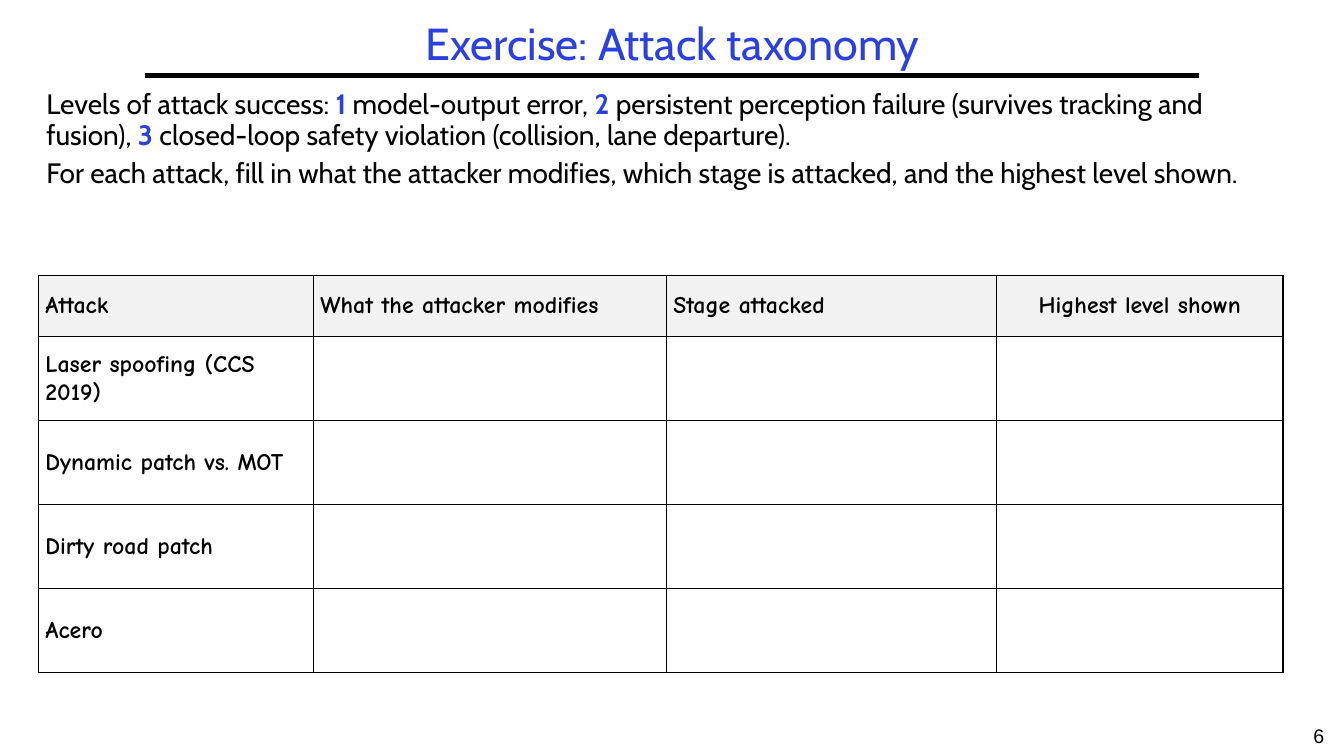
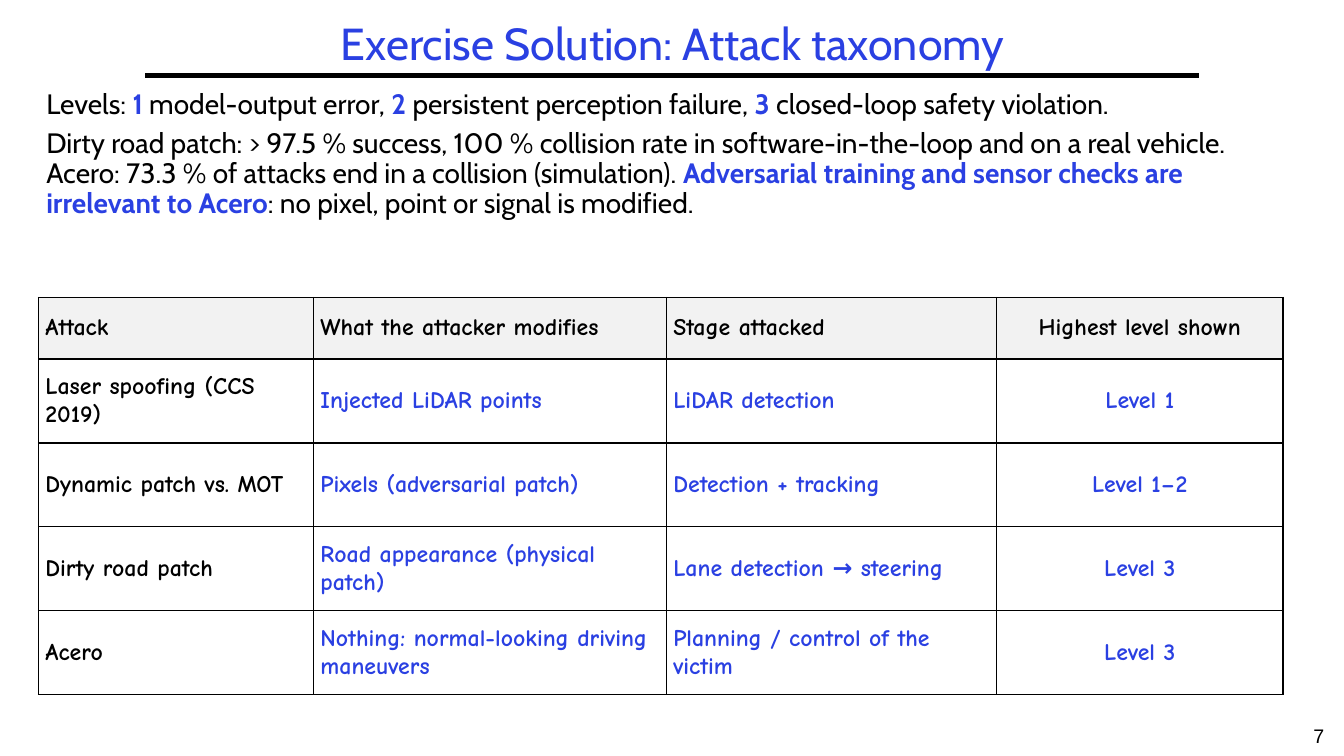
import dataclasses

import lxml.etree
import pptx
import pptx.dml.color
import pptx.enum.shapes
import pptx.enum.text
import pptx.oxml.ns
import pptx.util

Pt = pptx.util.Pt
Align = pptx.enum.text.PP_ALIGN
Anchor = pptx.enum.text.MSO_ANCHOR
qn = pptx.oxml.ns.qn


@dataclasses.dataclass(frozen=True)
class Theme:
    ink: str = "000000"
    blue: str = "2A40E2"
    head: str = "F2F2F2"
    sans: str = "Cabin"
    comic: str = "Comic Neue"
    plain: str = "Arial"
    title: int = 32
    body: int = 20
    cell: int = 17
    page: int = 14


THEME = Theme()
WIDTH, HEIGHT = 960, 540
LEFT, RIGHT, RULE = 103.7, 856.1, 54
GRID_LEFT = 27.4
COLS = (196.5, 252, 236, 204.5)
HEAD_ROW, ROW = 44, 60
HEADS = ("Attack", "What the attacker modifies", "Stage attacked",
         "Highest level shown")
NAMES = ("Laser spoofing (CCS 2019)", "Dynamic patch vs. MOT",
         "Dirty road patch", "Acero")
BLANKS = (("", "", ""),) * len(NAMES)
ANSWERS = (
    ("Injected LiDAR points", "LiDAR detection", "Level 1"),
    ("Pixels (adversarial patch)", "Detection + tracking", "Level 1–2"),
    ("Road appearance (physical patch)", "Lane detection → steering",
     "Level 3"),
    ("Nothing: normal-looking driving maneuvers",
     "Planning / control of the victim", "Level 3"),
)

# Texts in a paragraph alternate: plain, key, plain, key ...
TASK = (
    ("Levels of attack success: ", "1", " model-output error, ", "2",
     " persistent perception failure (survives tracking and fusion), ", "3",
     " closed-loop safety violation (collision, lane departure)."),
    ("For each attack, fill in what the attacker modifies, which stage is "
     "attacked, and the highest level shown.",),
)
RESULT = (
    ("Levels: ", "1", " model-output error, ", "2",
     " persistent perception failure, ", "3",
     " closed-loop safety violation."),
    ("Dirty road patch: > 97.5 % success, 100 % collision rate in "
     "software-in-the-loop and on a real vehicle. Acero: 73.3 % of attacks "
     "end in a collision (simulation). ",
     "Adversarial training and sensor checks are irrelevant to Acero",
     ": no pixel, point or signal is modified."),
)


def rgb(code):
    return pptx.dml.color.RGBColor.from_string(code)


def add_run(para, text, face, size, color=THEME.ink, bold=False):
    run = para.add_run()
    run.text = text
    font = run.font
    font.name, font.size, font.bold = face, Pt(size), bold
    font.color.rgb = rgb(color)


def add_box(slide, left, top, width, height, anchor=Anchor.MIDDLE):
    """Add an empty wrapping text box and return its text frame."""
    box = slide.shapes.add_textbox(Pt(left), Pt(top), Pt(width), Pt(height))
    frame = box.text_frame
    frame.word_wrap = True
    frame.vertical_anchor = anchor
    return frame


def add_title(slide, text):
    para = add_box(slide, LEFT, 12.2, RIGHT - LEFT + 1.4, 41.8).paragraphs[0]
    para.alignment = Align.CENTER
    para.line_spacing = 0.9
    add_run(para, text, THEME.sans, THEME.title, THEME.blue)


def add_rule(slide):
    line = slide.shapes.add_connector(
        pptx.enum.shapes.MSO_CONNECTOR.STRAIGHT,
        Pt(LEFT), Pt(RULE), Pt(RIGHT), Pt(RULE))
    line.line.color.rgb = rgb(THEME.ink)
    line.line.width = Pt(3)
    props = line._element.find(qn("p:spPr"))
    lxml.etree.SubElement(props, qn("a:effectLst"))


def add_page(slide, number):
    para = add_box(slide, 924, 511, 36, 29).paragraphs[0]
    para.alignment = Align.CENTER
    add_run(para, str(number), THEME.plain, THEME.page)


def add_body(slide, paras, height):
    frame = add_box(slide, 26, 61.2, 906, height, Anchor.TOP)
    for i, texts in enumerate(paras):
        para = frame.add_paragraph() if i else frame.paragraphs[0]
        para.line_spacing = 0.9
        para.space_before = Pt(6 if i else 0)
        for j, text in enumerate(texts):
            key = j % 2 == 1
            add_run(para, text, THEME.sans, THEME.body,
                    THEME.blue if key else THEME.ink, key)


def add_edges(cell):
    props = cell._tc.get_or_add_tcPr()
    for side in ("a:lnL", "a:lnR", "a:lnT", "a:lnB"):
        edge = lxml.etree.SubElement(props, qn(side), w=str(Pt(1)))
        fill = lxml.etree.SubElement(edge, qn("a:solidFill"))
        lxml.etree.SubElement(fill, qn("a:srgbClr"), val=THEME.ink)


def fill_cell(cell, text, color, center, head):
    add_edges(cell)
    if head:
        cell.fill.solid()
        cell.fill.fore_color.rgb = rgb(THEME.head)
    else:
        cell.fill.background()
    cell.vertical_anchor = Anchor.MIDDLE
    cell.margin_left = cell.margin_right = Pt(5)
    cell.margin_top = cell.margin_bottom = Pt(2)
    para = cell.text_frame.paragraphs[0]
    para.alignment = Align.CENTER if center else Align.LEFT
    if text:
        add_run(para, text, THEME.comic, THEME.cell, color, True)


def add_grid(slide, top, answers):
    rows = [HEADS] + [(name, *rest) for name, rest in zip(NAMES, answers)]
    height = HEAD_ROW + ROW * len(NAMES)
    table = slide.shapes.add_table(
        len(rows), len(COLS), Pt(GRID_LEFT), Pt(top),
        Pt(sum(COLS)), Pt(height)).table
    table.first_row = table.horz_banding = False
    for col, width in zip(table.columns, COLS):
        col.width = Pt(width)
    for r, texts in enumerate(rows):
        table.rows[r].height = Pt(ROW if r else HEAD_ROW)
        for c, text in enumerate(texts):
            color = THEME.blue if r and c else THEME.ink
            fill_cell(table.cell(r, c), text, color,
                      c == len(COLS) - 1, r == 0)


def add_slide(deck, number, title, paras, height, top, answers):
    slide = deck.slides.add_slide(deck.slide_layouts[6])
    add_rule(slide)
    add_page(slide, number)
    add_title(slide, title)
    add_body(slide, paras, height)
    add_grid(slide, top, answers)


def main():
    deck = pptx.Presentation()
    deck.slide_width, deck.slide_height = Pt(WIDTH), Pt(HEIGHT)
    add_slide(deck, 6, "Exercise: Attack taxonomy", TASK, 134, 196.5, BLANKS)
    add_slide(deck, 7, "Exercise Solution: Attack taxonomy", RESULT, 150,
              212.4, ANSWERS)
    deck.save("out.pptx")


if __name__ == "__main__":
    main()
